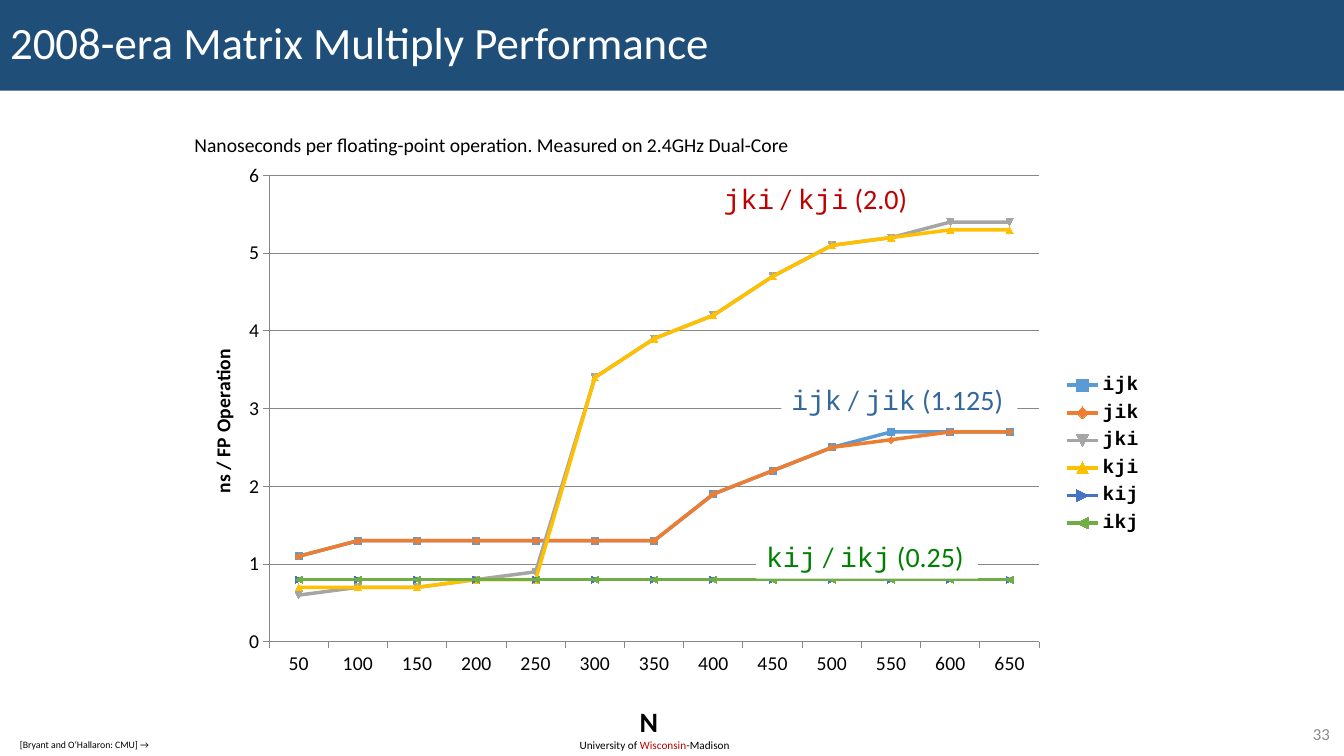
from dataclasses import dataclass

from lxml import etree
from pptx import Presentation
from pptx.chart.data import CategoryChartData
from pptx.dml.color import RGBColor
from pptx.enum.chart import XL_CHART_TYPE, XL_LEGEND_POSITION, XL_TICK_MARK
from pptx.enum.shapes import MSO_SHAPE
from pptx.enum.text import MSO_ANCHOR, PP_ALIGN
from pptx.util import Inches, Pt

LINES = XL_CHART_TYPE.LINE_MARKERS
RIGHT_KEY = XL_LEGEND_POSITION.RIGHT
OUT, NO_TICK = XL_TICK_MARK.OUTSIDE, XL_TICK_MARK.NONE
RECT = MSO_SHAPE.RECTANGLE
TOP, MIDDLE = MSO_ANCHOR.TOP, MSO_ANCHOR.MIDDLE
LEFT, RIGHT = PP_ALIGN.LEFT, PP_ALIGN.RIGHT
CHART_NS = "http://schemas.openxmlformats.org/drawingml/2006/chart"


@dataclass(frozen=True)
class Theme:
    sans: str = "Calibri"
    mono: str = "Courier New"
    navy: str = "1F4E79"
    white: str = "FFFFFF"
    black: str = "000000"
    red: str = "C00000"
    blue: str = "336699"
    green: str = "008000"
    gray: str = "8C8C8C"
    grid: str = "878787"
    title: int = 32
    label: int = 20
    body: int = 14
    page: int = 12
    foot: int = 8
    cite: int = 7
    line: float = 2.5


THEME = Theme()

SIZES = range(50, 651, 50)
SERIES = [
    ("ijk", "5B9BD5", [1.1] + [1.3] * 6 + [1.9, 2.2, 2.5, 2.7, 2.7, 2.7]),
    ("jik", "ED7D31", [1.1] + [1.3] * 6 + [1.9, 2.2, 2.5, 2.6, 2.7, 2.7]),
    ("jki", "A5A5A5", [0.6, 0.7, 0.7, 0.8, 0.9, 3.4, 3.9, 4.2, 4.7, 5.1, 5.2, 5.4, 5.4]),
    ("kji", "FFC000", [0.7, 0.7, 0.7, 0.8, 0.8, 3.4, 3.9, 4.2, 4.7, 5.1, 5.2, 5.3, 5.3]),
    ("kij", "4472C4", [0.8] * 13),
    ("ikj", "70AD47", [0.8] * 13),
]
LABELS = [
    ((7.75, 3.75, 2.34, 0.44), "ijk", "jik", "1.125", THEME.blue),
    ((7.08, 1.75, 2.06, 0.44), "jki", "kji", "2.0", THEME.red),
    ((7.5, 5.3, 2.2, 0.44), "kij", "ikj", "0.25", THEME.green),
]


def rgb(code):
    return RGBColor.from_string(code)


def style(font, size, color=THEME.black, face=THEME.sans, bold=False):
    font.size, font.name, font.bold = Pt(size), face, bold
    font.color.rgb = rgb(color)


def place(shape, box):
    shape.left, shape.top, shape.width, shape.height = map(Inches, box)


def add_title(slide, text):
    title = slide.shapes.title
    place(title, (0, 0, 13.33, 0.9))
    title.fill.solid()
    title.fill.fore_color.rgb = rgb(THEME.navy)
    frame = title.text_frame
    frame.text = text
    frame.vertical_anchor = MIDDLE
    para = frame.paragraphs[0]
    para.alignment, para.line_spacing = LEFT, 0.9
    style(para.runs[0].font, THEME.title, THEME.white)


def add_text(slide, box, runs, size, fill=None, wrap=True, align=LEFT, anchor=TOP):
    """Add one line of (text, colour, face) runs, on a filled block if asked."""
    area = map(Inches, box)
    if fill:
        shape = slide.shapes.add_shape(RECT, *area)
        shape.shadow.inherit = False
        shape.fill.solid()
        shape.fill.fore_color.rgb = rgb(fill)
        shape.line.fill.background()
    else:
        shape = slide.shapes.add_textbox(*area)
    frame = shape.text_frame
    frame.word_wrap, frame.vertical_anchor = wrap, anchor
    para = frame.paragraphs[0]
    para.alignment = align
    for text, color, face in runs:
        run = para.add_run()
        run.text = text
        style(run.font, size, color, face)


def add_label(slide, box, first, second, cost, color):
    runs = [
        (first, color, THEME.mono),
        (" / ", color, THEME.sans),
        (second, color, THEME.mono),
        (f" ({cost})", color, THEME.sans),
    ]
    add_text(slide, box, runs, THEME.label, fill=THEME.white, wrap=False)


def pin(chart, part, index, **spots):
    """Fix a chart part in place, in fractions of the chart area."""
    node = chart.element.xpath(f".//{part}")[0]
    for old in node.xpath("./c:layout"):
        node.remove(old)
    layout = etree.Element(f"{{{CHART_NS}}}layout")
    manual = etree.SubElement(layout, f"{{{CHART_NS}}}manualLayout")
    for key, val in spots.items():
        etree.SubElement(manual, f"{{{CHART_NS}}}{key}").set("val", str(val))
    node.insert(index, layout)


def set_axis(axis, text, size):
    axis.major_tick_mark, axis.minor_tick_mark = OUT, NO_TICK
    axis.format.line.color.rgb = rgb(THEME.grid)
    style(axis.tick_labels.font, THEME.body)
    frame = axis.axis_title.text_frame
    frame.text = text
    style(frame.paragraphs[0].runs[0].font, size, bold=True)


def add_lines(slide):
    data = CategoryChartData()
    data.categories = [str(size) for size in SIZES]
    for name, _, vals in SERIES:
        data.add_series(name, vals)
    area = map(Inches, (1.75, 1.5, 9.67, 6.01))
    chart = slide.shapes.add_chart(LINES, *area, data).chart
    chart.has_title = False
    style(chart.font, 10)
    plot = chart.plots[0]
    plot.vary_by_categories = False
    for line, (_, color, _) in zip(plot.series, SERIES):
        line.smooth = False
        line.format.line.width = Pt(THEME.line)
        line.format.line.color.rgb = rgb(color)

    set_axis(chart.category_axis, "N", THEME.label)
    axis = chart.value_axis
    set_axis(axis, "ns / FP Operation", THEME.body)
    axis.minimum_scale, axis.maximum_scale, axis.major_unit = 0, 6, 1
    axis.major_gridlines.format.line.color.rgb = rgb(THEME.grid)
    axis.tick_labels.number_format = "0"
    axis.tick_labels.number_format_is_linked = False

    chart.has_legend = True
    key = chart.legend
    key.position, key.include_in_layout = RIGHT_KEY, False
    style(key.font, THEME.body, face=THEME.mono, bold=True)

    edge = {"xMode": "edge", "yMode": "edge"}
    pin(chart, "c:plotArea", 0, layoutTarget="inner", **edge,
        x=0.095, y=0.04, w=0.79, h=0.77)
    pin(chart, "c:legend", 1, **edge, x=0.9, y=0.36, w=0.1, h=0.28)
    pin(chart, "c:catAx/c:title", 1, **edge, x=0.47, y=0.9)
    pin(chart, "c:valAx/c:title", 1, **edge, x=0.03, y=0.32)


def main():
    deck = Presentation()
    deck.slide_width, deck.slide_height = Inches(13.33), Inches(7.5)
    slide = deck.slides.add_slide(deck.slide_layouts[5])
    plain = (THEME.black, THEME.sans)

    add_text(slide, (5.65, 7.28, 1.72, 0.24), [
        ("University of ", *plain),
        ("Wisconsin", THEME.red, THEME.sans),
        ("-Madison", *plain),
    ], THEME.foot)
    add_title(slide, "2008-era Matrix Multiply Performance")
    add_text(slide, (12.53, 7.13, 0.76, 0.29), [("33", THEME.gray, THEME.sans)],
             THEME.page, align=RIGHT, anchor=MIDDLE)
    note = "Nanoseconds per floating-point operation. Measured on 2.4GHz Dual-Core"
    add_text(slide, (1.83, 1.27, 6.41, 0.34), [(note, *plain)], THEME.body, wrap=False)
    add_lines(slide)
    for label in LABELS:
        add_label(slide, *label)
    add_text(slide, (0.1, 7.28, 1.5, 0.22), [("[Bryant and O‘Hallaron: CMU] →", *plain)],
             THEME.cite, fill=THEME.white)
    deck.save("out.pptx")


if __name__ == "__main__":
    main()
